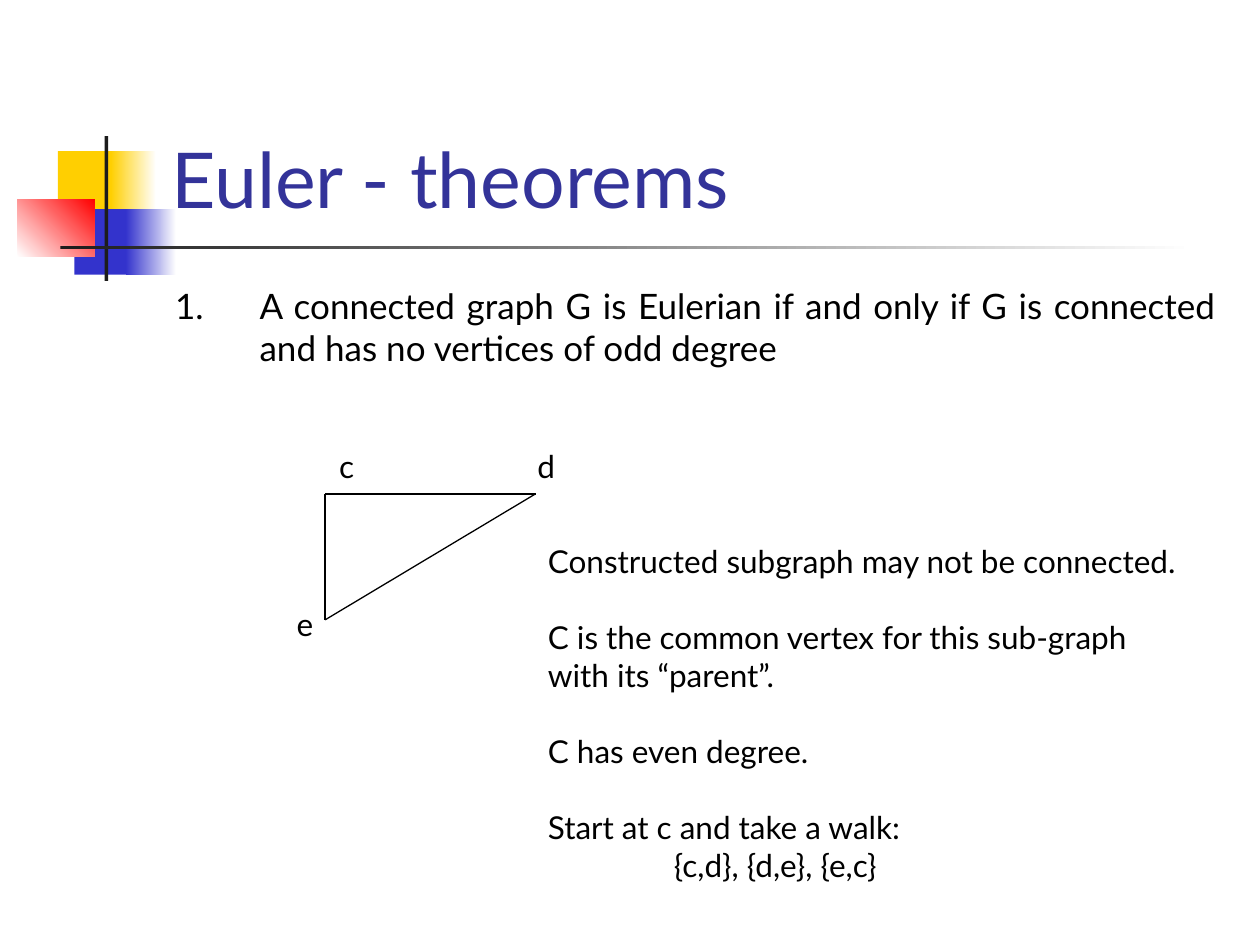
from pptx import Presentation
from pptx import util as u
from pptx.dml.color import RGBColor
from pptx.enum import shapes, text
from pptx.oxml.xmlchemy import OxmlElement

WHITE = RGBColor(0xFF, 0xFF, 0xFF)
BLACK = RGBColor(0, 0, 0)
CHARCOAL = RGBColor(0x1C, 0x1C, 0x1C)
YELLOW = RGBColor(0xFF, 0xCF, 0x01)
BLUE = RGBColor(0x33, 0x33, 0xCC)
RED = RGBColor(0xFF, 0, 0)
INDIGO = RGBColor(0x33, 0x33, 0x99)


class Slide:
    font = "Lato"

    def __init__(self, page):
        self.page = page

    def apply(self, target, values):
        for name, value in values.items():
            setattr(target, name, value)

    def add_words(self, para, words, size, color=BLACK, **layout):
        span = para.add_run()
        span.text = words
        self.apply(span.font, {"name": self.font, "size": u.Pt(size)})
        span.font.color.rgb = color
        self.apply(para, layout)

    def place(self, box, left, top, width, height):
        names = ("left", "top", "width", "height")
        lengths = map(u.Inches, (left, top, width, height))
        self.apply(box, dict(zip(names, lengths)))

    def indent(self, para, margin, first=0):
        props = para._p.get_or_add_pPr()
        props.set("marL", str(u.Inches(margin)))
        props.set("indent", str(u.Inches(first)))
        return props

    def block(self, area, color, end=None, angle=0):
        box = self.page.shapes.add_shape(
            shapes.MSO_SHAPE.RECTANGLE, *map(u.Inches, area))
        box.shadow.inherit = False
        box.line.fill.background()
        if end is None:
            box.fill.solid()
            box.fill.fore_color.rgb = color
            return
        box.fill.gradient()
        box.fill.gradient_angle = angle
        for stop, shade in zip(box.fill.gradient_stops, (color, end)):
            stop.color.rgb = shade

    def title(self, words, area):
        box = self.page.shapes.title
        self.place(box, *area)
        self.apply(box.text_frame, {
            "vertical_anchor": text.MSO_ANCHOR.BOTTOM,
            "auto_size": text.MSO_AUTO_SIZE.NONE})
        self.add_words(box.text_frame.paragraphs[0], words, 44, INDIGO,
                       alignment=text.PP_ALIGN.LEFT)

    def numbered(self, words, area):
        box = self.page.placeholders[1]
        self.place(box, *area)
        box.text_frame.auto_size = text.MSO_AUTO_SIZE.NONE
        para = box.text_frame.paragraphs[0]
        self.add_words(para, words, 20, alignment=text.PP_ALIGN.JUSTIFY,
                       space_before=u.Pt(5))
        number = OxmlElement("a:buAutoNum")
        number.set("type", "arabicPeriod")
        self.indent(para, 0.67, -0.67).append(number)

    def edge(self, start, end):
        line = self.page.shapes.add_connector(
            shapes.MSO_CONNECTOR.STRAIGHT, *map(u.Inches, start + end))
        line.line.color.rgb = BLACK
        line.line.width = u.Pt(0.75)
        line._element.spPr.append(OxmlElement("a:effectLst"))

    def textbox(self, area):
        box = self.page.shapes.add_textbox(*map(u.Inches, area))
        self.apply(box.text_frame, {
            "word_wrap": False,
            "auto_size": text.MSO_AUTO_SIZE.SHAPE_TO_FIT_TEXT})
        return box.text_frame

    def label(self, words, area):
        self.add_words(self.textbox(area).paragraphs[0], words, 18,
                       alignment=text.PP_ALIGN.CENTER)

    def remarks(self, lines, area):
        frame = self.textbox(area)
        for index, (words, gap, margin) in enumerate(lines):
            para = frame.add_paragraph() if index else frame.paragraphs[0]
            self.add_words(para, words, 18, space_before=u.Pt(gap))
            self.indent(para, margin)


def main():
    deck = Presentation()
    deck.slide_width, deck.slide_height = u.Inches(10), u.Inches(7.5)
    slide = Slide(deck.slides.add_slide(deck.slide_layouts[1]))

    slide.block((0.46, 1.2, 0.48, 0.52), YELLOW)
    slide.block((0.88, 1.2, 0.36, 0.52), YELLOW, WHITE)
    slide.block((0.59, 1.66, 0.46, 0.52), BLUE)
    slide.block((1, 1.66, 0.4, 0.52), BLUE, WHITE)
    slide.block((0.14, 1.58, 0.61, 0.46), WHITE, RED, 45)
    slide.block((0.83, 1.08, 0.03, 1.15), CHARCOAL)
    slide.block((0.48, 1.95, 9, 0.03), CHARCOAL, WHITE)

    slide.title("Euler - theorems", (1.26, 0.23, 8.52, 1.6))
    slide.numbered("A connected graph G is Eulerian if and only if G is "
                   "connected and has no vertices of odd degree",
                   (1.29, 2.21, 8.46, 1.04))

    c, d, e = (2.58, 3.92), (4.25, 3.92), (2.58, 4.92)
    for start, end in ((c, d), (c, e), (e, d)):
        slide.edge(start, end)
    slide.label("c", (2.59, 3.5, 0.32, 0.4))
    slide.label("d", (4.16, 3.5, 0.35, 0.4))
    slide.label("e", (2.25, 4.75, 0.34, 0.4))

    gap = 22
    slide.remarks((
        ("Constructed subgraph may not be connected.", 0, 0),
        ("C is the common vertex for this sub-graph", gap, 0),
        ("with its “parent”.", 0, 0),
        ("C has even degree.", gap, 0),
        ("Start at c and take a walk:", gap, 0),
        ("{c,d}, {d,e}, {e,c}", 0, 1),
    ), (4.25, 4.25, 5.58, 2.8))

    deck.save("out.pptx")


if __name__ == "__main__":
    main()
